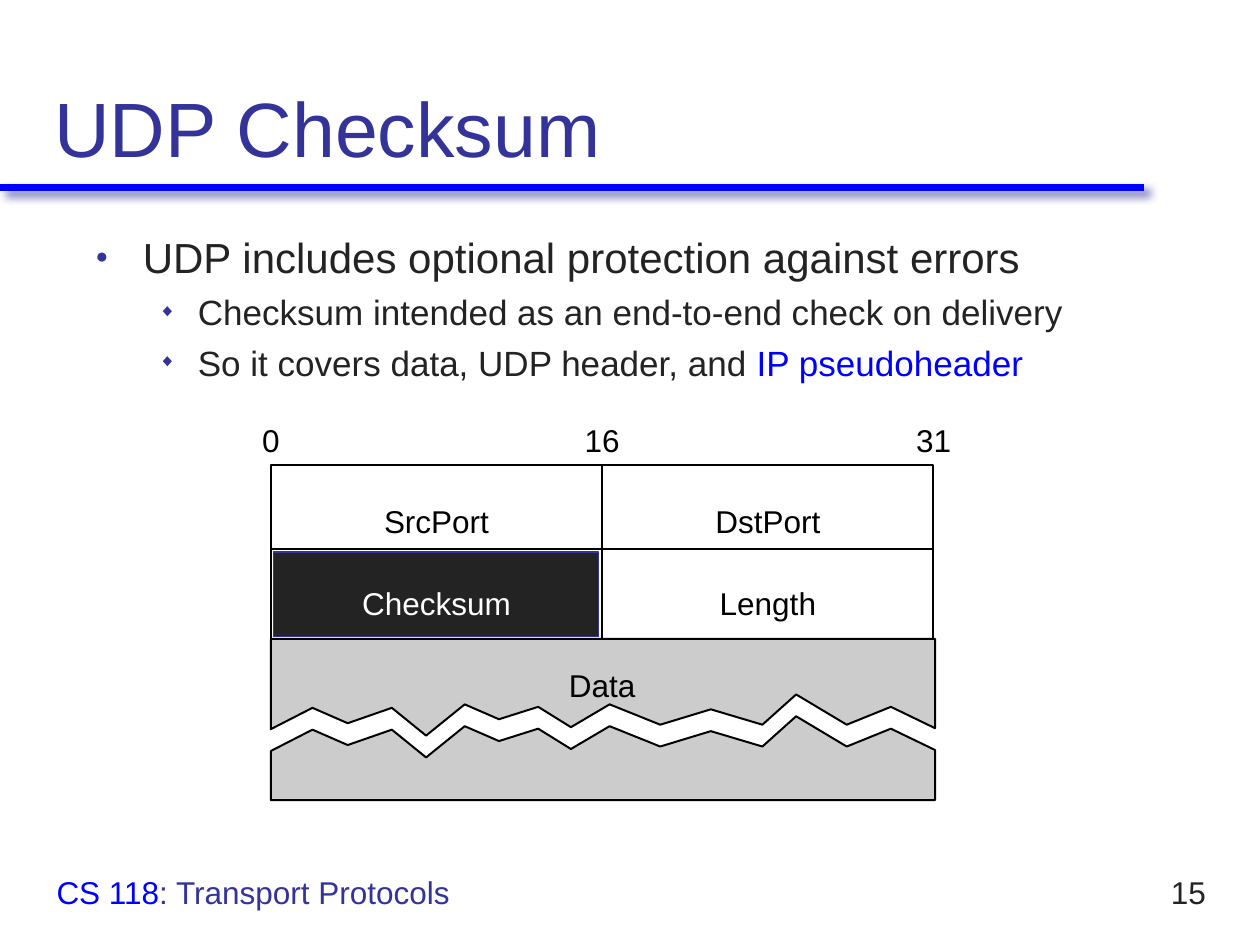
import pptx
import pptx.util
import pptx.dml.color
import pptx.enum.shapes
import pptx.enum.text
import pptx.oxml

Cm, Pt = pptx.util.Cm, pptx.util.Pt
Shape = pptx.enum.shapes.MSO_SHAPE
Align = pptx.enum.text.PP_ALIGN
Anchor = pptx.enum.text.MSO_ANCHOR
NS = 'xmlns:a="http://schemas.openxmlformats.org/drawingml/2006/main"'

# Content: runs are (text, colour)
BLUE, NAVY, DARK, BLACK, WHITE, GRAY = (
    "0000FF", "333399", "232323", "000000", "FFFFFF", "CCCCCC")
TITLE = [("UDP Checksum", NAVY)]
BODY = [  # level, runs
    (0, [("UDP includes optional protection against errors", DARK)]),
    (1, [("Checksum intended as an end-to-end check on delivery", DARK)]),
    (1, [("So it covers data, UDP header, and ", DARK), ("IP pseudoheader", BLUE)]),
]
LEVELS = [  # bullet, size, margin, hanging indent
    ("●", 24, 0.95, 0.95),
    ("◆", 20, 2.06, 0.79),
]
FOOTER = [("CS 118", BLUE), (": Transport Protocols", NAVY)]
NUMBER = [("15", DARK)]

# Packet grid, in cm
LEFT, MID, RIGHT = 5.46, 12.14, 18.82
TOP, ROW, BOTTOM, END = 9.37, 11.07, 12.88, 16.13
HALF1, HALF2 = (LEFT + MID) / 2, (MID + RIGHT) / 2
LABELS = [  # text row, centre, text, colour
    (0, LEFT, "0", BLACK), (0, MID, "16", BLACK), (0, RIGHT, "31", BLACK),
    (1, HALF1, "SrcPort", BLACK), (1, HALF2, "DstPort", BLACK),
    (2, HALF1, "Checksum", WHITE), (2, HALF2, "Length", BLACK),
    (3, MID, "Data", BLACK),
]
LABEL_TOP, LABEL_STEP, LABEL_W, LABEL_H = 8.48, 1.65, 3, 0.86
TEAR = [  # torn edge, right to left
    (18.85, 14.68), (17.96, 14.25), (17.07, 14.61), (16.05, 14), (15.37, 14.61),
    (14.33, 14.3), (13.31, 14.61), (12.29, 14.2), (11.51, 14.66), (10.85, 14.25),
    (10.06, 14.5), (9.37, 14.2), (8.59, 14.83), (7.9, 14.27), (7.01, 14.58),
    (6.3, 14.27), (5.46, 14.7),
]
GAP = 0.44


def color(code):
    return pptx.dml.color.RGBColor.from_string(code)


def add_runs(para, runs, size):
    for text, code in runs:
        run = para.add_run()
        run.text = text
        run.font.name = "Arial"
        run.font.size = Pt(size)
        run.font.color.rgb = color(code)


def set_frame(frame, anchor=Anchor.TOP, pad=(0.25, 0.13), wrap=True):
    frame.word_wrap = wrap
    frame.vertical_anchor = anchor
    frame.margin_left = frame.margin_right = Cm(pad[0])
    frame.margin_top = frame.margin_bottom = Cm(pad[1])
    return frame


def add_box(slide, box, **style):
    shape = slide.shapes.add_textbox(*map(Cm, box))
    return set_frame(shape.text_frame, **style)


def add_line(slide, ends, code, width, effect=""):
    line = slide.shapes.add_connector(
        pptx.enum.shapes.MSO_CONNECTOR.STRAIGHT, *map(Cm, ends))
    line.line.color.rgb = color(code)
    line.line.width = Pt(width)
    line._element.spPr.append(pptx.oxml.parse_xml(
        f"<a:effectLst {NS}>{effect}</a:effectLst>"))


def paint(shape, fill, code, width):
    shape.shadow.inherit = False
    if fill:
        shape.fill.solid()
        shape.fill.fore_color.rgb = color(fill)
    else:
        shape.fill.background()
    shape.line.color.rgb = color(code)
    shape.line.width = Pt(width)


def add_rect(slide, box, fill, code, width):
    paint(slide.shapes.add_shape(Shape.RECTANGLE, *map(Cm, box)), fill, code, width)


def add_outline(slide, points):
    spots = [(Cm(x), Cm(y)) for x, y in points]
    path = slide.shapes.build_freeform(*spots[0])
    path.add_line_segments(spots[1:], close=True)
    paint(path.convert_to_shape(), GRAY, BLACK, 1.13)


def add_bullet(para, level):
    char, size, margin, hang = LEVELS[level]
    para.level = level
    props = para._p.get_or_add_pPr()
    props.set("marL", str(Cm(margin)))
    props.set("indent", str(-Cm(hang)))
    for item in (f'<a:buClr {NS}><a:srgbClr val="{NAVY}"/></a:buClr>',
                 f'<a:buSzPct {NS} val="50000"/>',
                 f'<a:buFont {NS} typeface="Arial"/>',
                 f'<a:buChar {NS} char="{char}"/>'):
        props.append(pptx.oxml.parse_xml(item))
    return size


def main():
    deck = pptx.Presentation()
    deck.slide_width, deck.slide_height = Cm(25.4), Cm(19.05)
    slide = deck.slides.add_slide(deck.slide_layouts[5])

    # Title and rule
    glow = (f'<a:outerShdw blurRad="{Pt(5)}" dist="{Pt(4.2)}" dir="2700000">'
            f'<a:srgbClr val="{NAVY}"><a:alpha val="75000"/></a:srgbClr></a:outerShdw>')
    add_line(slide, (0, 3.78, 23.06, 3.78), BLUE, 3.5, glow)
    title = slide.shapes.title
    title.left, title.top, title.width, title.height = map(Cm, (0.84, 0.43, 23.7, 3.18))
    para = set_frame(title.text_frame, anchor=Anchor.BOTTOM).paragraphs[0]
    para.alignment = Align.LEFT
    add_runs(para, TITLE, 44)

    # Bullets
    frame = add_box(slide, (1.68, 4.53, 22.02, 12.2))
    for i, (level, runs) in enumerate(BODY):
        para = frame.add_paragraph() if i else frame.paragraphs[0]
        size = add_bullet(para, level)
        if i:
            para.space_before = Pt(5)
        add_runs(para, runs, size)

    # Header fields
    add_rect(slide, (5.51, 11.13, 6.55, 1.7), DARK, NAVY, 0.75)
    add_rect(slide, (LEFT, TOP, RIGHT - LEFT, BOTTOM - TOP), None, BLACK, 1.13)
    add_line(slide, (LEFT, ROW, RIGHT, ROW), BLACK, 1.13)
    add_line(slide, (MID, TOP, MID, BOTTOM), BLACK, 1.13)

    # Torn data block
    edge = [(x, y + GAP) for x, y in TEAR]
    start, stop = TEAR[-1][0], TEAR[0][0]
    add_outline(slide, [(start, BOTTOM), (stop, BOTTOM)] + TEAR)
    add_outline(slide, [(start, END), (stop, END)] + edge)

    # Labels
    for row, mid, text, code in LABELS:
        box = (mid - LABEL_W / 2, LABEL_TOP + row * LABEL_STEP, LABEL_W, LABEL_H)
        para = add_box(slide, box, pad=(0, 0)).paragraphs[0]
        para.alignment = Align.CENTER
        add_runs(para, [(text, code)], 18)

    # Footer
    for box, runs, align in (((22.86, 17.35, 1.7, 1.27), NUMBER, Align.RIGHT),
                             ((0.89, 17.35, 14.81, 1.27), FOOTER, Align.LEFT)):
        para = add_box(slide, box, anchor=Anchor.MIDDLE).paragraphs[0]
        para.alignment = align
        add_runs(para, runs, 18)

    deck.save("out.pptx")


if __name__ == "__main__":
    main()
